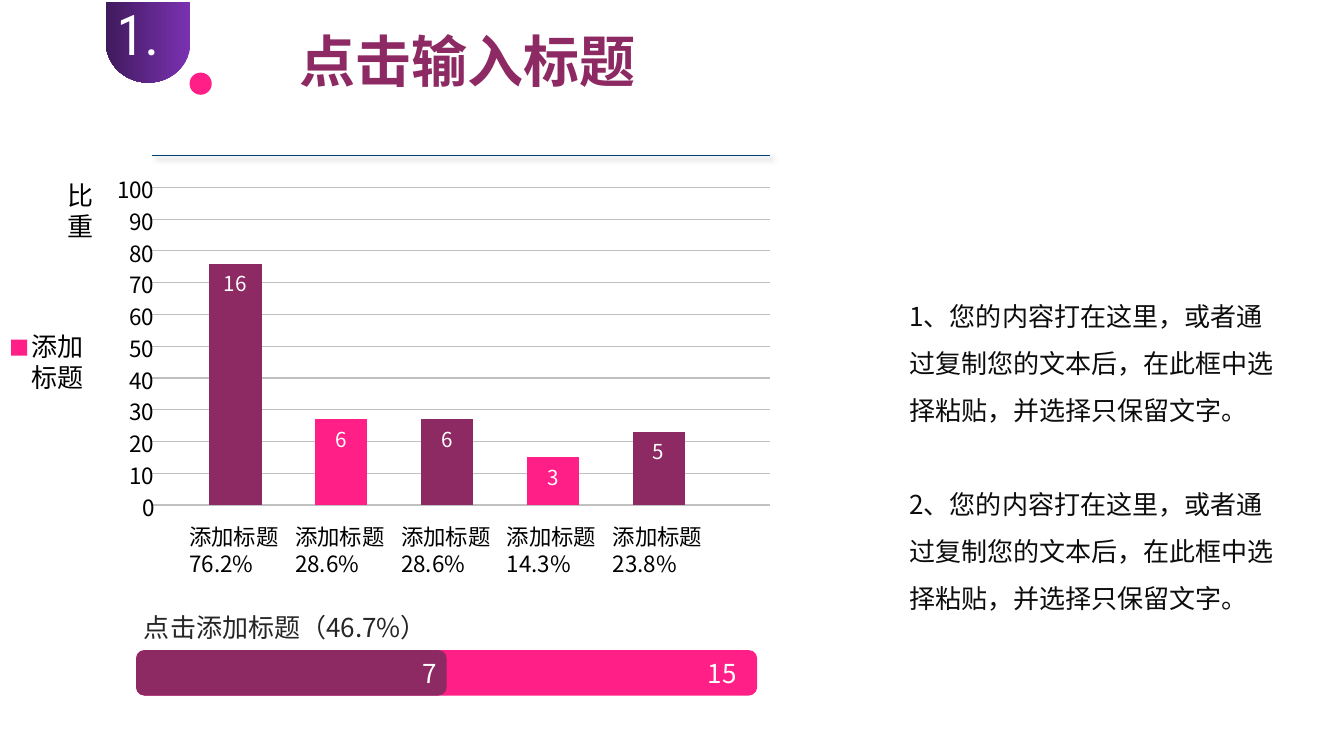
from lxml import etree
from pptx import Presentation
from pptx.chart.data import CategoryChartData
from pptx.dml.color import RGBColor
from pptx.enum.chart import XL_CHART_TYPE, XL_LABEL_POSITION, XL_TICK_LABEL_POSITION, XL_TICK_MARK
from pptx.enum.shapes import MSO_CONNECTOR, MSO_SHAPE
from pptx.enum.text import MSO_ANCHOR, MSO_AUTO_SIZE, PP_ALIGN
from pptx.oxml import parse_xml
from pptx.oxml.ns import nsdecls, qn
from pptx.util import Inches, Pt

LEFT, RIGHT = PP_ALIGN.LEFT, PP_ALIGN.RIGHT
TOP, MIDDLE = MSO_ANCHOR.TOP, MSO_ANCHOR.MIDDLE
RECT, ROUNDED = MSO_SHAPE.RECTANGLE, MSO_SHAPE.ROUNDED_RECTANGLE
DELAY, OVAL = MSO_SHAPE.FLOWCHART_DELAY, MSO_SHAPE.OVAL

COLORS = {
    "plum": "8D2963", "pink": "FF1F87", "violet": "7B32B2", "indigo": "401A5D",
    "grid": "C0C0C0", "rule": "014075", "black": "000000", "white": "FFFFFF",
    "caption": "262626", "body": "0D0D0D",
}
CJK, LATIN = "Noto Sans CJK SC", "Roboto Condensed"
BODY_SIZE, AXIS_SIZE, LABEL_SIZE = 18.6, 16, 14.7

TITLE = "点击输入标题"
SECTION = "1.1"
AXIS_TITLE = "比重"
LEGEND = ["添加", "标题"]
BARS = [  # category, bar height on the scale, count, colour
    ("添加标题 76.2%", 76, 16, "plum"),
    ("添加标题 28.6%", 27, 6, "pink"),
    ("添加标题 28.6%", 27, 6, "plum"),
    ("添加标题 14.3%", 15, 3, "pink"),
    ("添加标题 23.8%", 23, 5, "plum"),
]
CAPTION = "点击添加标题（46.7%）"
PROGRESS = [("15", 6.16, "pink", 0.18), ("7", 3.08, "plum", 0.07)]  # text, width, colour, inset
NOTES = [
    "1、您的内容打在这里，或者通过复制您的文本后，在此框中选择粘贴，并选择只保留文字。",
    "2、您的内容打在这里，或者通过复制您的文本后，在此框中选择粘贴，并选择只保留文字。",
]

# Scale of the bar chart, in inches
GRID_LEFT, GRID_RIGHT = 1.51, 7.64
ZERO_Y, STEP_Y, STEPS = 5.01, 0.315, 10
BARS_LEFT, BAR_PITCH, BAR_WIDTH = 1.81, 1.05, 0.52
MARGIN = 0.1  # chart margin around the plot

prs = Presentation()
prs.slide_width, prs.slide_height = Inches(13.33), Inches(7.5)
slide = prs.slides.add_slide(prs.slide_layouts[1])


def rgb(name):
    return RGBColor.from_string(COLORS[name])


def place(shape, *box):
    shape.left, shape.top, shape.width, shape.height = map(Inches, box)


def write(shape, lines, *, size=BODY_SIZE, color="black", font=CJK, bold=False, align=LEFT,
          anchor=TOP, wrap=True, spacing=1.0, gap=0, inset=None):
    frame = shape.text_frame
    frame.auto_size = MSO_AUTO_SIZE.NONE
    frame.word_wrap, frame.vertical_anchor = wrap, anchor
    if inset is not None:
        frame.margin_right = Inches(inset)
    for i, line in enumerate(lines):
        paragraph = frame.paragraphs[0] if i == 0 else frame.add_paragraph()
        paragraph.alignment, paragraph.line_spacing = align, spacing
        paragraph.space_before = Pt(gap if i else 0)
        if shape.is_placeholder:
            props = paragraph._p.get_or_add_pPr()
            props.set("marL", "0")
            props.set("indent", "0")
            etree.SubElement(props, qn("a:buNone"))
        run = paragraph.add_run()
        run.text = line
        run.font.size, run.font.bold = Pt(size), bold
        run.font.name, run.font.color.rgb = font, rgb(color)
        etree.SubElement(run._r.get_or_add_rPr(), qn("a:ea")).set("typeface", font)


def text_box(box, lines, **text_format):
    write(slide.shapes.add_textbox(*map(Inches, box)), lines, **text_format)


def block(kind, box, color):
    shape = slide.shapes.add_shape(kind, *map(Inches, box))
    shape.shadow.inherit = False
    shape.fill.solid()
    shape.fill.fore_color.rgb = rgb(color)
    shape.line.fill.background()
    return shape


def grid_line(y, color):
    """Draw a line across the scale and return its effect list."""
    line = slide.shapes.add_connector(
        MSO_CONNECTOR.STRAIGHT, Inches(GRID_LEFT), Inches(y), Inches(GRID_RIGHT), Inches(y))
    line.line.color.rgb, line.line.width = rgb(color), Pt(0.75)
    return etree.SubElement(line._element.spPr, qn("a:effectLst"))


def add_scale():
    for step in range(STEPS + 1):
        y = ZERO_Y - step * STEP_Y
        grid_line(y, "grid")
        text_box((0.88, y - 0.16, 0.75, 0.37), [str(step * 10)], size=AXIS_SIZE, align=RIGHT)
    effects = grid_line(ZERO_Y - (STEPS + 1) * STEP_Y, "rule")
    effects.append(parse_xml(
        f'<a:outerShdw {nsdecls("a")} blurRad="{Pt(4)}" dist="{Pt(3)}" dir="2700000">'
        f'<a:srgbClr val="{COLORS["black"]}"><a:alpha val="40000"/></a:srgbClr></a:outerShdw>'))


def add_bars():
    data = CategoryChartData(number_format="0")
    data.categories = [category for category, *_ in BARS]
    data.add_series(AXIS_TITLE, [height for _, height, _, _ in BARS])

    plot_w, plot_h = BAR_PITCH * len(BARS), STEP_Y * STEPS
    width, height = plot_w + 2 * MARGIN, plot_h + 2 * MARGIN
    box = (BARS_LEFT - MARGIN, ZERO_Y - plot_h - MARGIN, width, height)
    chart = slide.shapes.add_chart(
        XL_CHART_TYPE.COLUMN_CLUSTERED, *map(Inches, box), data).chart
    chart.has_legend = chart.has_title = False
    chart.font.name, chart.font.size, chart.font.color.rgb = CJK, Pt(AXIS_SIZE), rgb("black")

    values, categories = chart.value_axis, chart.category_axis
    values.minimum_scale, values.maximum_scale, values.major_unit = 0, STEPS * 10, 10
    values.has_major_gridlines = values.visible = False
    categories.major_tick_mark = XL_TICK_MARK.NONE
    categories.tick_label_position = XL_TICK_LABEL_POSITION.NONE
    categories.format.line.fill.background()

    plot = chart.plots[0]
    plot.vary_by_categories = False
    plot.gap_width = round((BAR_PITCH / BAR_WIDTH - 1) * 100)
    for i, (category, _, count, color) in enumerate(BARS):
        point = plot.series[0].points[i]
        point.format.fill.solid()
        point.format.fill.fore_color.rgb = rgb(color)
        label = point.data_label
        run = label.text_frame.paragraphs[0].add_run()
        run.text = str(count)
        run.font.name, run.font.size, run.font.color.rgb = CJK, Pt(LABEL_SIZE), rgb("white")
        label.position = XL_LABEL_POSITION.INSIDE_END
        text_box((1.78 + i * BAR_PITCH, 5.14, 1.1, 0.64), [category], size=AXIS_SIZE)

    shares = {"x": MARGIN / width, "y": MARGIN / height,
              "w": plot_w / width, "h": plot_h / height}
    area = chart._chartSpace.chart.plotArea
    for old in area.findall(qn("c:layout")):
        area.remove(old)
    area.insert(0, parse_xml(
        f'<c:layout {nsdecls("c")}><c:manualLayout><c:layoutTarget val="inner"/>'
        '<c:xMode val="edge"/><c:yMode val="edge"/>'
        + "".join(f'<c:{key} val="{share:.4f}"/>' for key, share in shares.items())
        + "</c:manualLayout></c:layout>"))
    chart._chartSpace.chart.addnext(parse_xml(
        f'<c:spPr {nsdecls("c", "a")}><a:noFill/><a:ln><a:noFill/></a:ln></c:spPr>'))


title, notes = slide.placeholders
place(title, 2.87, 0.21, 3.73, 0.77)
write(title, [TITLE], size=40, color="plum", bold=True, wrap=False)
place(notes, 8.92, 2.78, 3.88, 3.81)
write(notes, NOTES, color="body", spacing=1.5, gap=34)

badge = block(DELAY, (1.07, 0, 0.8, 0.84), "violet")
badge.rotation = 90
badge.fill.gradient()
badge.fill.gradient_angle = 270
for stop, shade in zip(badge.fill.gradient_stops, ("violet", "indigo")):
    stop.color.rgb = rgb(shade)
text_box((1.06, -0.05, 0.73, 0.77), [SECTION], size=40, color="white", font=LATIN)
block(OVAL, (1.88, 0.72, 0.22, 0.22), "pink")

add_scale()
add_bars()
text_box((0.57, 1.73, 0.47, 0.73), [AXIS_TITLE])
block(RECT, (0.11, 3.37, 0.16, 0.16), "pink")
text_box((0.21, 3.23, 0.72, 0.73), LEGEND, wrap=False)

text_box((1.33, 5.86, 4.94, 0.47), [CAPTION], color="caption", spacing=1.5)
for amount, width, color, inset in PROGRESS:
    bar = block(ROUNDED, (1.35, 6.45, width, 0.45), color)
    bar.adjustments[0] = 0.18
    write(bar, [amount], color="white", align=RIGHT, anchor=MIDDLE, inset=inset)

prs.save("out.pptx")
